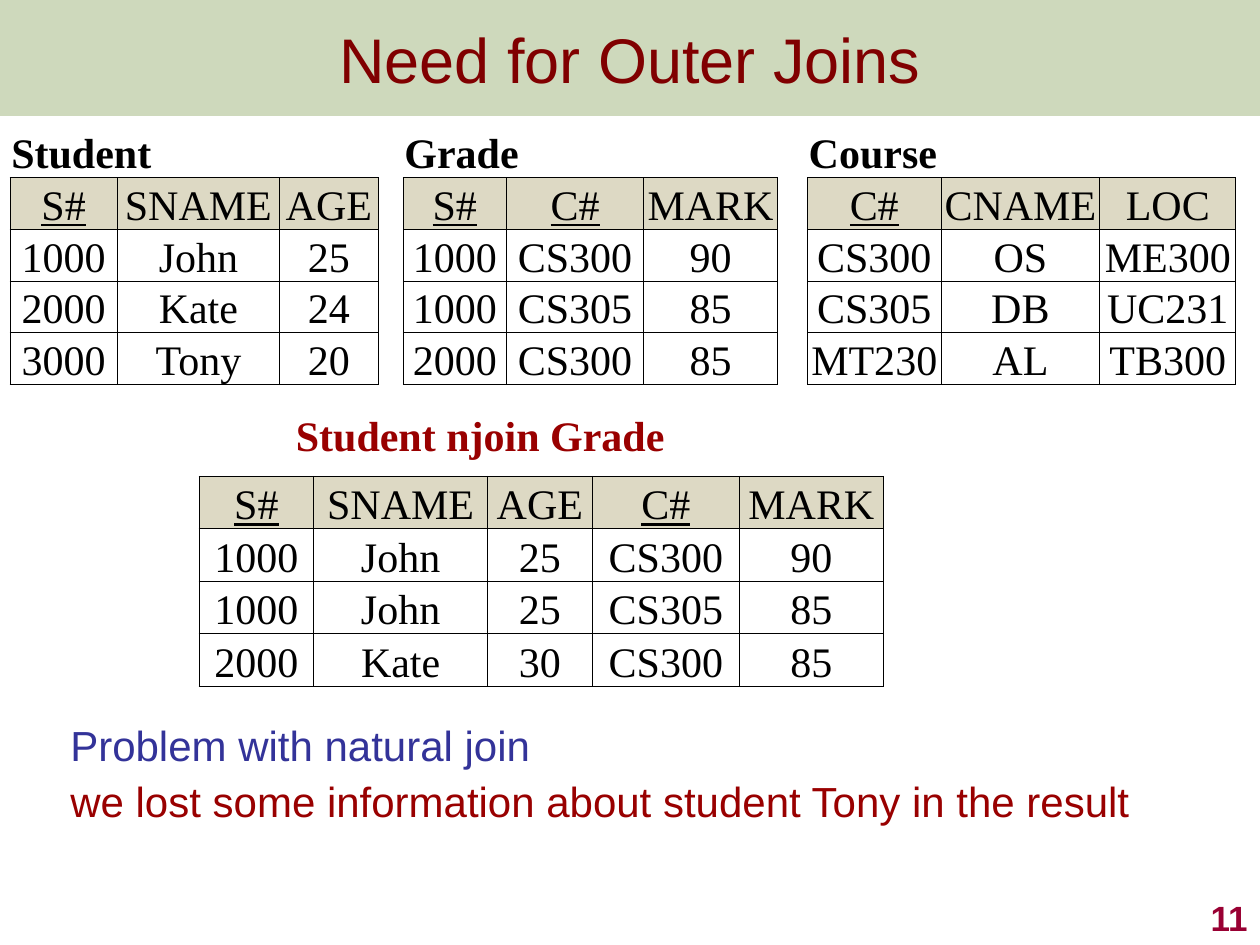
from lxml import etree
from pptx import Presentation
from pptx import util as u
from pptx.dml import color
from pptx.enum import shapes, text
from pptx.oxml import ns

deck = Presentation()
deck.slide_width, deck.slide_height = u.Inches(10), u.Inches(7.5)
page = deck.slides.add_slide(deck.slide_layouts[6])
column = deck.slide_width / 100
row = deck.slide_height / 75


def rgb(code):
    return color.RGBColor.from_string(code)


def write(para, words, size=24, font="Times New Roman", ink="000000",
          bold=False, underline=False, align=text.PP_ALIGN.LEFT):
    para.alignment = align
    span = para.add_run()
    span.text = words
    span.font.size, span.font.name = u.Pt(size), font
    span.font.bold, span.font.underline = bold, underline
    span.font.color.rgb = rgb(ink)


notes = page.shapes.add_textbox(*map(int, (4.6 * column, 57.1 * row, 90.7 * column, 10.8 * row)))
notes.text_frame.word_wrap = True
notes.text_frame.margin_right = 0
for number, (words, ink) in enumerate([
    ("Problem with natural join", "333399"),
    ("we lost some information about student Tony in the result", "990000"),
]):
    para = notes.text_frame.add_paragraph() if number else notes.text_frame.paragraphs[0]
    properties = para._p.get_or_add_pPr()
    properties.set("marL", str(int(3.8 * column)))
    properties.set("indent", str(int(-3.8 * column)))
    para.line_spacing = 0.9
    para.space_before = u.Pt(6 * number)
    write(para, words, font="Arial", ink=ink)

footer = page.shapes.add_textbox(*map(int, (79.2 * column, 70 * row, 20.8 * column, 5 * row)))
footer.text_frame.word_wrap = True
footer.text_frame.vertical_anchor = text.MSO_ANCHOR.BOTTOM
write(footer.text_frame.paragraphs[0], "11", size=20, font="Arial", ink="990033",
      bold=True, align=text.PP_ALIGN.RIGHT)

banner = page.shapes.add_shape(shapes.MSO_SHAPE.RECTANGLE, 0, 0, deck.slide_width, int(9.2 * row))
banner.shadow.inherit = False
banner.line.fill.background()
banner.fill.solid()
banner.fill.fore_color.rgb = rgb("5F8422")
tint = next(banner._element.spPr.iter(ns.qn("a:srgbClr")))
etree.SubElement(tint, ns.qn("a:alpha"), val="30000")
banner.text_frame.vertical_anchor = text.MSO_ANCHOR.MIDDLE
write(banner.text_frame.paragraphs[0], "Need for Outer Joins", size=36, font="Arial",
      ink="800000", align=text.PP_ALIGN.CENTER)

joined = [
    "S# SNAME AGE C# MARK",
    "1000 John 25 CS300 90",
    "1000 John 25 CS305 85",
    "2000 Kate 30 CS300 85",
]
relations = [
    "Student - - | Grade - - | Course - -",
    "S# SNAME AGE | S# C# MARK | C# CNAME LOC",
    "1000 John 25 | 1000 CS300 90 | CS300 OS ME300",
    "2000 Kate 24 | 1000 CS305 85 | CS305 DB UC231",
    "3000 Tony 20 | 2000 CS300 85 | MT230 AL TB300",
]
tables = [
    (15.8, 37.8, 4.17, [9.1, 13.8, 8.3, 11.7, 11.4], joined, 0),
    (0.8, 10, 3.81, [8.5, 12.9, 7.8, 2, 8.2, 10.9, 10.6, 2.4, 10.6, 12.6, 10.8], relations, 1),
]
for left, top, height, widths, lines, header in tables:
    frame = page.shapes.add_table(len(lines), len(widths), *map(int, (
        left * column, top * row, sum(widths) * column, height * len(lines) * row)))
    grid = frame.table
    grid.first_row = grid.horz_banding = False
    for position, width in enumerate(widths):
        grid.columns[position].width = int(width * column)
    for r, line in enumerate(lines):
        grid.rows[r].height = int(height * row)
        for c, words in enumerate(line.split()):
            cell = grid.cell(r, c)
            caption, gap = r < header, words == "|"
            cell.margin_left = cell.margin_right = cell.margin_top = u.Inches(0.01)
            cell.margin_bottom = 0
            cell.vertical_anchor = text.MSO_ANCHOR.BOTTOM
            if caption:
                sides = "" if gap else "B"
            else:
                sides = "LR" if gap else "LRTB"
            for side in "LRTB":
                edge = etree.SubElement(cell._tc.get_or_add_tcPr(), ns.qn("a:ln" + side), w=str(u.Pt(0.5)))
                if side in sides:
                    paint = etree.SubElement(edge, ns.qn("a:solidFill"))
                    etree.SubElement(paint, ns.qn("a:srgbClr"), val="000000")
                else:
                    etree.SubElement(edge, ns.qn("a:noFill"))
            cell.fill.solid()
            cell.fill.fore_color.rgb = rgb("DDD9C4" if r == header and not gap else "FFFFFF")
            if words not in ("|", "-"):
                write(cell.text_frame.paragraphs[0], words, bold=caption, underline="#" in words,
                      align=text.PP_ALIGN.LEFT if caption else text.PP_ALIGN.CENTER)
            if caption and not gap and words != "-":
                cell.merge(grid.cell(r, c + 2))

heading = page.shapes.add_textbox(*map(int, (22.5 * column, 32 * row, 32.4 * column, 5 * row)))
heading.text_frame.word_wrap = False
heading.text_frame.auto_size = text.MSO_AUTO_SIZE.SHAPE_TO_FIT_TEXT
write(heading.text_frame.paragraphs[0], "Student njoin Grade", ink="990000", bold=True)

deck.save("out.pptx")
